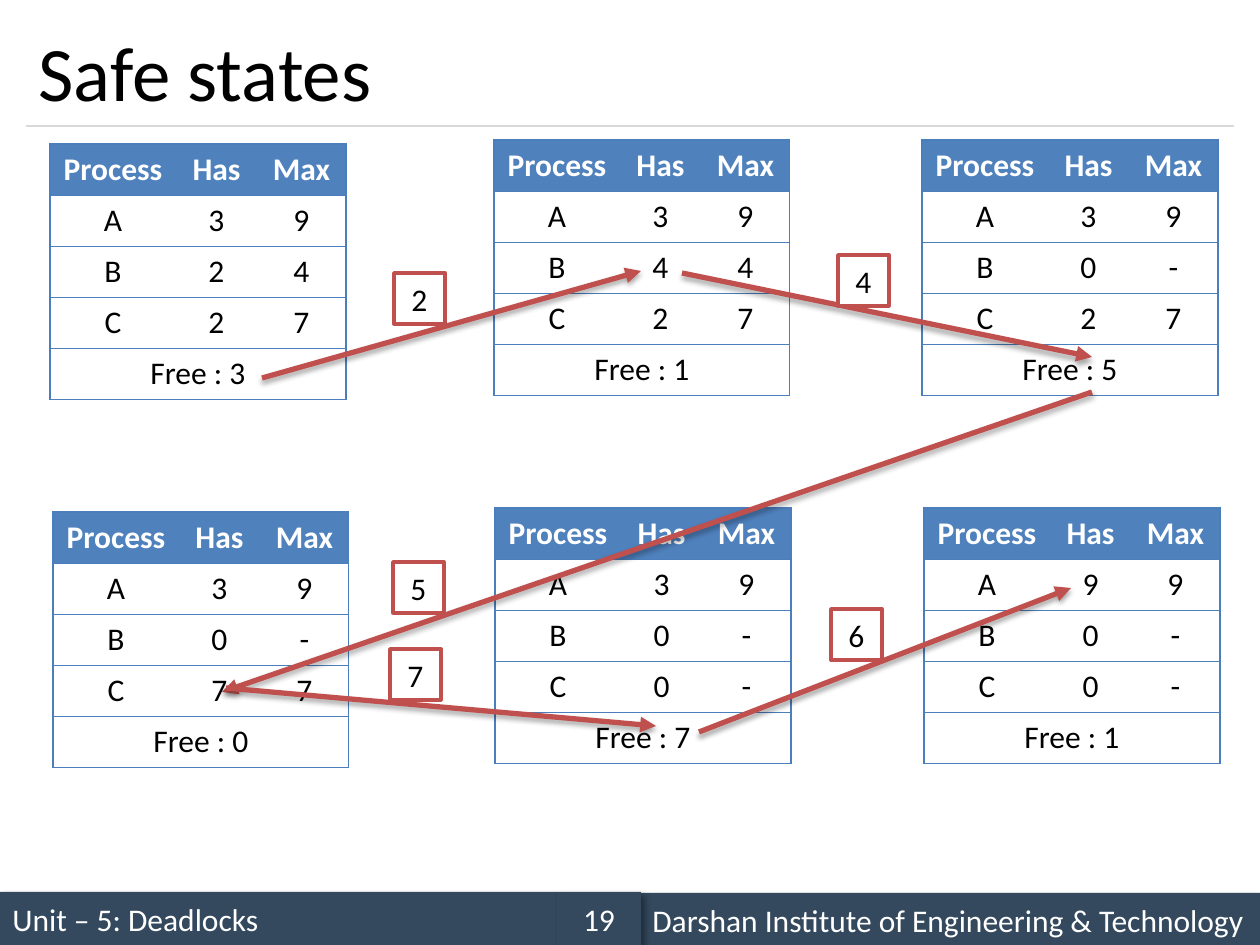
"""Build the "Safe states" slide: six process tables joined by allocation arrows."""
from lxml.etree import SubElement
from pptx import Presentation
from pptx.dml.color import RGBColor
from pptx.enum.shapes import MSO_CONNECTOR, MSO_SHAPE
from pptx.enum.text import MSO_ANCHOR, PP_ALIGN
from pptx.oxml.ns import qn
from pptx.util import Pt

COLORS = {
    "text": "000000", "white": "FFFFFF", "footer": "34495E", "rule": "D9D9D9",
    "header": "4F81BD", "border": "4B7EBC", "accent": "C0504D", "shadow": "000000",
}
FONT = "Calibri"
TITLE = "Safe states"
FOOTERS = [
    ("Unit – 5: Deadlocks", (0, 892, 557, 53), PP_ALIGN.LEFT),
    ("Darshan Institute of Engineering & Technology", (640, 893, 620, 53), PP_ALIGN.LEFT),
    ("19", (557, 892, 84, 53), PP_ALIGN.CENTER),
]
HEADINGS = ["Process", "Has", "Max"]
PROCESSES = ["A", "B", "C"]
STATES = [
    ((50, 144), ["39", "24", "27"], "Free : 3"),
    ((494, 140), ["39", "44", "27"], "Free : 1"),
    ((922, 140), ["39", "0-", "27"], "Free : 5"),
    ((53, 512), ["39", "0-", "77"], "Free : 0"),
    ((495, 508), ["39", "0-", "0-"], "Free : 7"),
    ((924, 508), ["99", "0-", "0-"], "Free : 1"),
]
STEPS = [
    ("2", (394, 273), (262, 378, 641, 271)),
    ("4", (838, 255), (682, 273, 1092, 357)),
    ("5", (393, 562), (1092, 392, 222, 692)),
    ("7", (390, 649), (226, 688, 656, 726)),
    ("6", (831, 609), (699, 732, 1071, 588)),
]
COLUMN_WIDTHS = [126, 81, 89]
ROW_HEIGHT = 51
LABEL_SIZE = 51
FOOTER_SHADOW = {"alpha": 40, "blur": 4, "dist": 3, "angle": 45}
ARROW_SHADOW = {"alpha": 35, "blur": 3.1, "dist": 1.8, "angle": 90}


def px(*values):
    return [round(value * 914400 / 126) for value in values]


def color(name):
    return RGBColor.from_string(COLORS[name])


def write(frame, text, align=PP_ALIGN.CENTER, ink="text", size=18, bold=False):
    frame.text = text
    para = frame.paragraphs[0]
    para.alignment = align
    font = para.runs[0].font
    for name, value in {"name": FONT, "size": Pt(size), "bold": bold}.items():
        setattr(font, name, value)
    font.color.rgb = color(ink)


def add_shadow(effects, alpha, blur, dist, angle):
    shadow = SubElement(
        effects, qn("a:outerShdw"), blurRad=str(Pt(blur)), dist=str(Pt(dist)),
        dir=str(angle * 60000), rotWithShape="0")
    tint = SubElement(shadow, qn("a:srgbClr"), val=COLORS["shadow"])
    SubElement(tint, qn("a:alpha"), val=str(alpha * 1000))


def add_box(page, place, text, fill, ink, align=PP_ALIGN.CENTER, outline=None):
    box = page.shapes.add_shape(MSO_SHAPE.RECTANGLE, *px(*place))
    box.shadow.inherit = False
    box.fill.solid()
    box.fill.fore_color.rgb = color(fill)
    if outline:
        box.line.color.rgb = color(outline)
        box.line.width = Pt(2)
    else:
        box.line.fill.background()
    box.text_frame.word_wrap = True
    box.text_frame.vertical_anchor = MSO_ANCHOR.MIDDLE
    write(box.text_frame, text, align, ink)
    return box


def add_line(page, ends, ink, width):
    line = page.shapes.add_connector(MSO_CONNECTOR.STRAIGHT, *px(*ends))
    line.line.color.rgb = color(ink)
    line.line.width = Pt(width)
    properties = line._element.spPr
    return properties.find(qn("a:ln")), SubElement(properties, qn("a:effectLst"))


def set_borders(cell, sides):
    properties = cell._tc.get_or_add_tcPr()
    for side in "LRTB":
        edge = SubElement(properties, qn("a:ln" + side), w=str(Pt(0.75)))
        if side in sides:
            fill = SubElement(edge, qn("a:solidFill"))
            SubElement(fill, qn("a:srgbClr"), val=COLORS["border"])
        else:
            SubElement(edge, qn("a:noFill"))


def add_state(page, corner, values, free):
    rows = [HEADINGS, *([name, *pair] for name, pair in zip(PROCESSES, values)), [free]]
    size = (sum(COLUMN_WIDTHS), ROW_HEIGHT * len(rows))
    table = page.shapes.add_table(len(rows), len(HEADINGS), *px(*corner, *size)).table
    table.horz_banding = False
    for column, width in zip(table.columns, px(*COLUMN_WIDTHS)):
        column.width = width
    last = len(HEADINGS) - 1
    table.cell(len(rows) - 1, 0).merge(table.cell(len(rows) - 1, last))
    for r, texts in enumerate(rows):
        table.rows[r].height = px(ROW_HEIGHT)[0]
        for c in range(len(HEADINGS)):
            cell = table.cell(r, c)
            spans_row = len(texts) == 1
            left = "L" if c == 0 else ""
            right = "R" if c == last or spans_row else ""
            set_borders(cell, "TB" + left + right)
            if r == 0:
                cell.fill.solid()
                cell.fill.fore_color.rgb = color("header")
            else:
                cell.fill.background()
            if c < len(texts):
                write(cell.text_frame, texts[c], ink="text" if r else "white", bold=r == 0)


def main():
    deck = Presentation()
    deck.slide_width, deck.slide_height = px(1260, 945)
    page = deck.slides.add_slide(deck.slide_layouts[5])

    title = page.shapes.title
    title.left, title.top, title.width, title.height = px(26, 15, 1208, 111)
    title.text_frame.vertical_anchor = MSO_ANCHOR.MIDDLE
    write(title.text_frame, TITLE, PP_ALIGN.LEFT, size=44)
    add_line(page, (26, 126, 1234, 126), "rule", 0.75)

    for text, place, align in FOOTERS:
        box = add_box(page, place, text, "footer", "white", align)
        add_shadow(box._element.spPr.find(qn("a:effectLst")), **FOOTER_SHADOW)

    for state in STATES:
        add_state(page, *state)

    for amount, corner, ends in STEPS:
        stroke, effects = add_line(page, ends, "accent", 3)
        SubElement(stroke, qn("a:tailEnd"), type="triangle")
        add_shadow(effects, **ARROW_SHADOW)
        place = (*corner, LABEL_SIZE, LABEL_SIZE)
        add_box(page, place, amount, "white", "text", outline="accent")

    deck.save("out.pptx")


if __name__ == "__main__":
    main()
